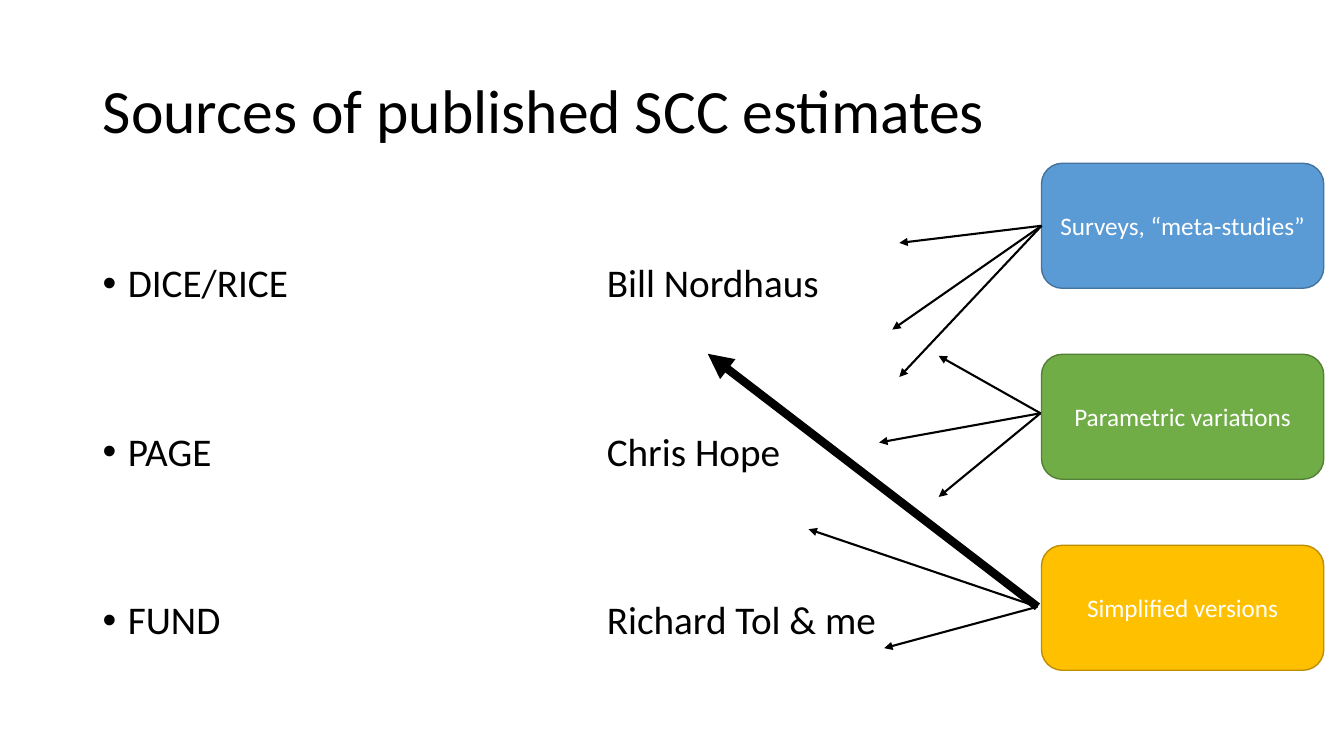
"""Build the slide on sources of published SCC estimates."""
from lxml import etree
from pptx import Presentation
from pptx.dml.color import RGBColor
from pptx.enum.shapes import MSO_CONNECTOR, MSO_SHAPE
from pptx.enum.text import MSO_ANCHOR, PP_ALIGN
from pptx.oxml.ns import qn
from pptx.util import Inches, Pt

STRAIGHT = MSO_CONNECTOR.STRAIGHT
ROUNDED = MSO_SHAPE.ROUNDED_RECTANGLE
MIDDLE = MSO_ANCHOR.MIDDLE
LEFT, CENTER = PP_ALIGN.LEFT, PP_ALIGN.CENTER
LEFT_SIDE = 1
FONT = "Calibri"
BLACK, WHITE = "000000", "FFFFFF"
THIN, THICK = 1.5, 6

TITLE = "Sources of published SCC estimates"
MODELS = [
    ("DICE/RICE", "Bill Nordhaus"),
    ("PAGE", "Chris Hope"),
    ("FUND", "Richard Tol & me"),
]
# Each source: label, fill, outline, arrow start (None joins the box), arrow tips with widths
SOURCES = [
    ("Surveys, “meta-studies”", "5B9BD5", "43739E", None,
     [(8.92, 2.41, THIN), (8.85, 3.27, THIN), (8.92, 3.74, THIN)]),
    ("Parametric variations", "70AD47", "538035", (10.32, 4.1),
     [(9.31, 3.53, THIN), (8.72, 4.39, THIN), (9.31, 4.93, THIN)]),
    ("Simplified versions", "FFC000", "BD8E00", (10.29, 6.02),
     [(7.02, 3.51, THICK), (8.02, 5.25, THIN), (8.77, 6.43, THIN)]),
]
BOX_LEFT, BOX_TOP, BOX_WIDTH, BOX_HEIGHT, BOX_STEP = 10.33, 1.62, 2.8, 1.24, 1.895
NAME_TAB = 5


def color(value):
    return RGBColor.from_string(value)


def add_text(para, text, size, fill, align):
    para.alignment = align
    span = para.add_run()
    span.text = text
    span.font.name = FONT
    span.font.size = Pt(size)
    span.font.color.rgb = color(fill)


def add_title(page):
    title = page.shapes.title
    title.left, title.top = Inches(0.92), Inches(0.4)
    title.width, title.height = Inches(11.5), Inches(1.45)
    title.text_frame.vertical_anchor = MIDDLE
    para = title.text_frame.paragraphs[0]
    para.line_spacing = 0.9
    add_text(para, TITLE, 44, BLACK, LEFT)


def add_models(page):
    box = page.shapes.add_textbox(Inches(0.92), Inches(2), Inches(11.5), Inches(4.76))
    frame = box.text_frame
    frame.word_wrap = True
    frame.margin_top = Inches(0.62)
    for index, (model, author) in enumerate(MODELS):
        para = frame.add_paragraph() if index else frame.paragraphs[0]
        para.line_spacing = 0.9
        para.space_before = Pt(90 if index else 0)
        settings = para._p.get_or_add_pPr()
        settings.set("marL", str(Inches(0.25)))
        settings.set("indent", str(-Inches(0.25)))
        etree.SubElement(settings, qn("a:buFont"), typeface="Arial")
        etree.SubElement(settings, qn("a:buChar"), char="•")
        tabs = etree.SubElement(settings, qn("a:tabLst"))
        etree.SubElement(tabs, qn("a:tab"), pos=str(Inches(NAME_TAB)), algn="l")
        add_text(para, f"{model}\t{author}", 28, BLACK, LEFT)


def add_source(page, index, label, fill, outline):
    box = page.shapes.add_shape(
        ROUNDED, Inches(BOX_LEFT), Inches(BOX_TOP + index * BOX_STEP),
        Inches(BOX_WIDTH), Inches(BOX_HEIGHT))
    box.shadow.inherit = False
    box.fill.solid()
    box.fill.fore_color.rgb = color(fill)
    box.line.color.rgb = color(outline)
    box.line.width = Pt(1)
    box.text_frame.word_wrap = True
    box.text_frame.vertical_anchor = MIDDLE
    add_text(box.text_frame.paragraphs[0], label, 18, WHITE, CENTER)
    return box


def add_arrow(page, box, start, tip_x, tip_y, width):
    start_x, start_y = start or (BOX_LEFT, BOX_TOP + BOX_HEIGHT / 2)
    arrow = page.shapes.add_connector(
        STRAIGHT, Inches(start_x), Inches(start_y), Inches(tip_x), Inches(tip_y))
    if start is None:
        arrow.begin_connect(box, LEFT_SIDE)
    arrow.line.color.rgb = color(BLACK)
    arrow.line.width = Pt(width)
    etree.SubElement(arrow.line._get_or_add_ln(), qn("a:tailEnd"), type="triangle")
    etree.SubElement(arrow._element.spPr, qn("a:effectLst"))


def main():
    deck = Presentation()
    deck.slide_width, deck.slide_height = Inches(13.33), Inches(7.5)
    page = deck.slides.add_slide(deck.slide_layouts.get_by_name("Title Only"))
    add_title(page)
    add_models(page)
    for index, (label, fill, outline, start, tips) in enumerate(SOURCES):
        box = add_source(page, index, label, fill, outline)
        for tip in tips:
            add_arrow(page, box, start, *tip)
    deck.save("out.pptx")


if __name__ == "__main__":
    main()
